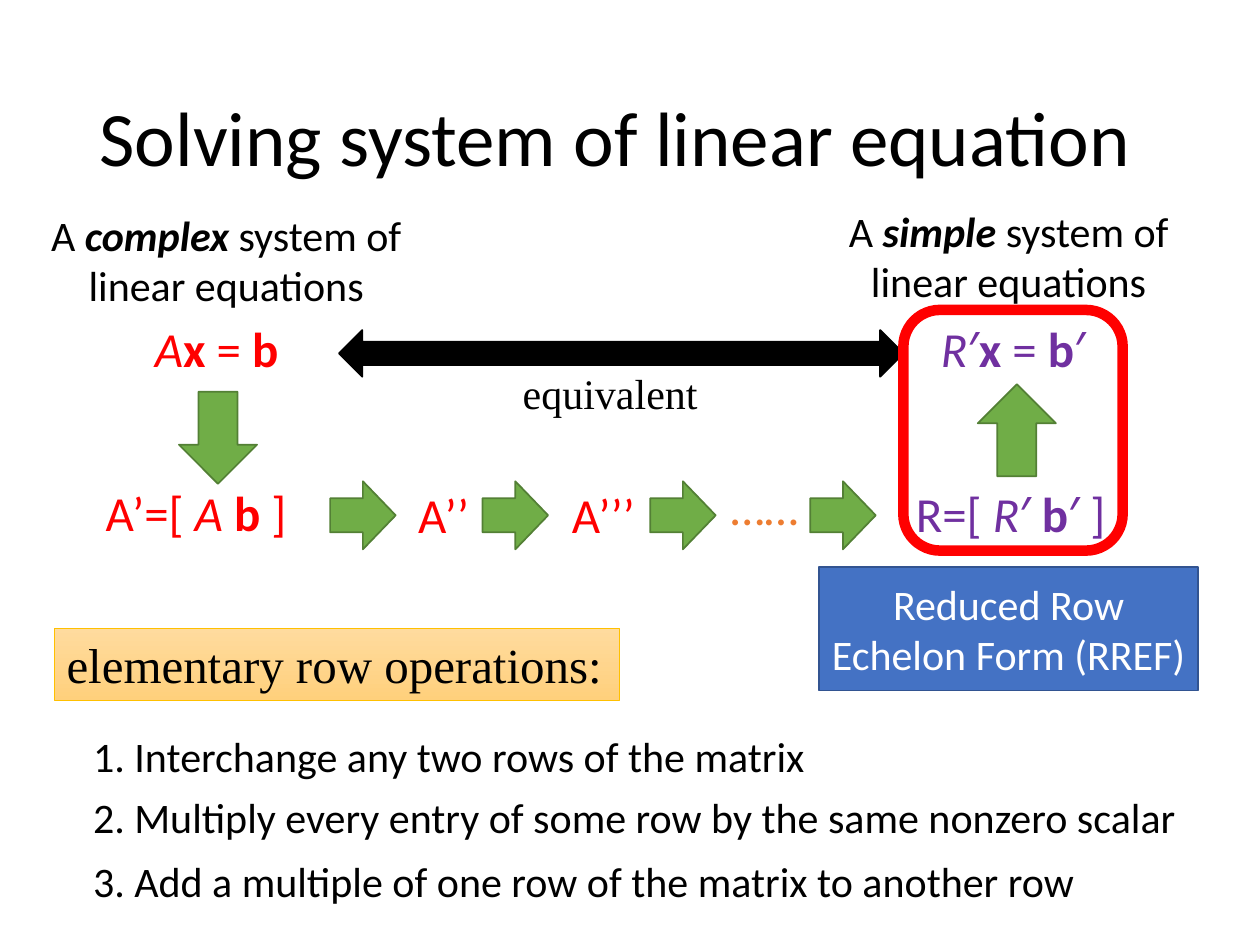
"""Build a slide on solving a system of linear equations by row operations."""
import pptx
import pptx.dml.color
import pptx.enum.shapes
import pptx.enum.text
import pptx.util

Inches = pptx.util.Inches
Pt = pptx.util.Pt
SHAPE = pptx.enum.shapes.MSO_SHAPE
ANCHOR = pptx.enum.text.MSO_ANCHOR
ALIGN = pptx.enum.text.PP_ALIGN
FIT = pptx.enum.text.MSO_AUTO_SIZE

BLACK, RED, PURPLE, ORANGE = "000000", "FF0000", "7030A0", "ED7D31"
GREEN, DARK_GREEN = "70AD47", "538035"


def rgb(value):
    """Return a colour from its hex string."""
    return pptx.dml.color.RGBColor.from_string(value)


def write(box, runs, size, color, font="Calibri", align=ALIGN.LEFT, wrap=True, fit=FIT.SHAPE_TO_FIT_TEXT):
    """Fill a box with one paragraph of (text, style) runs; style holds b and i."""
    frame = box.text_frame
    frame.word_wrap = wrap
    frame.auto_size = fit
    para = frame.paragraphs[0]
    para.alignment = align
    for text, style in runs:
        span = para.add_run()
        span.text = text
        span.font.name = font
        span.font.size = Pt(size)
        span.font.bold = "b" in style
        span.font.italic = "i" in style
        span.font.color.rgb = rgb(color)


deck = pptx.Presentation()
deck.slide_width = Inches(10)
deck.slide_height = Inches(7.5)
page = deck.slides.add_slide(deck.slide_layouts[5])
shapes = page.shapes

title = shapes.title
title.left, title.top = Inches(0.69), Inches(0.4)
title.width, title.height = Inches(8.62), Inches(1.45)
title.text_frame.vertical_anchor = ANCHOR.MIDDLE
write(title, [("Solving system of linear equation", "")], 44, BLACK, fit=FIT.NONE)
title.text_frame.paragraphs[0].line_spacing = 0.9

box = shapes.add_textbox(Inches(4.05), Inches(2.87), Inches(1.59), Inches(0.5))
write(box, [("equivalent", "")], 24, BLACK, font="Times New Roman", wrap=False)

formulas = [
    (1.13, 2.48, 1.28, RED, [("A", "i"), ("x", "b"), (" = ", ""), ("b", "b")]),
    (0.74, 3.78, 1.84, RED, [("A’=[ ", ""), ("A ", "i"), ("b ", "b"), ("]", "")]),
    (3.22, 3.8, 0.61, RED, [("A’’", "")]),
    (4.44, 3.8, 0.71, RED, [("A’’’", "")]),
    (5.7, 3.73, 0.77, ORANGE, [("……", "")]),
    (7.17, 3.79, 1.74, PURPLE, [("R=[ ", ""), ("R", "i"), ("′ ", ""), ("b", "b"), ("′ ]", "")]),
    (7.37, 2.48, 1.37, PURPLE,
     [("R", "i"), ("′", ""), ("x", "b"), (" = ", ""), ("b", "b"), ("′", "")]),
]
for left, top, width, color, runs in formulas:
    box = shapes.add_textbox(Inches(left), Inches(top), Inches(width), Inches(0.57))
    write(box, runs, 28, color, wrap=False)

for left, top, kind in [(0.19, 1.61, "complex"), (6.4, 1.58, "simple")]:
    box = shapes.add_textbox(Inches(left), Inches(top), Inches(3.21), Inches(0.91))
    runs = [("A ", ""), (kind, "bi"), (" system of linear equations", "")]
    write(box, runs, 24, BLACK, align=ALIGN.CENTER)

operations = [
    (5.75, 7.59, "1. Interchange any two rows of the matrix"),
    (6.23, 9.56, "2. Multiply every entry of some row by the same nonzero scalar"),
    (6.74, 9.34, "3. Add a multiple of one row of the matrix to another row"),
]
for top, width, text in operations:
    box = shapes.add_textbox(Inches(0.64), Inches(top), Inches(width), Inches(0.5))
    write(box, [(text, "")], 24, BLACK)

arrows = [
    (SHAPE.DOWN_ARROW, 1.42, 3.11, 0.62, 0.73, GREEN, DARK_GREEN),
    (SHAPE.UP_ARROW, 7.76, 3.05, 0.62, 0.73, GREEN, DARK_GREEN),
    (SHAPE.LEFT_RIGHT_ARROW, 2.69, 2.62, 4.48, 0.37, BLACK, BLACK),
]
for left in (2.62, 3.83, 5.16, 6.43):
    arrows.append((SHAPE.RIGHT_ARROW, left, 3.82, 0.52, 0.54, GREEN, DARK_GREEN))
for kind, left, top, width, height, fill, line in arrows:
    arrow = shapes.add_shape(kind, Inches(left), Inches(top), Inches(width), Inches(height))
    arrow.shadow.inherit = False
    arrow.fill.solid()
    arrow.fill.fore_color.rgb = rgb(fill)
    arrow.line.color.rgb = rgb(line)
    arrow.line.width = Pt(1)

rref = shapes.add_shape(SHAPE.RECTANGLE, Inches(6.5), Inches(4.5), Inches(3.01), Inches(0.98))
rref.shadow.inherit = False
rref.fill.solid()
rref.fill.fore_color.rgb = rgb("4472C4")
rref.line.color.rgb = rgb("325491")
rref.line.width = Pt(1)
rref.text_frame.vertical_anchor = ANCHOR.MIDDLE
write(rref, [("Reduced Row Echelon Form (RREF)", "")], 24, "FFFFFF", align=ALIGN.CENTER, fit=FIT.NONE)

heading = shapes.add_shape(SHAPE.RECTANGLE, Inches(0.43), Inches(4.99), Inches(4.49), Inches(0.57))
heading.shadow.inherit = False
heading.fill.gradient()
heading.fill.gradient_angle = 270
for stop, color, position in zip(heading.fill.gradient_stops, ("FFDB9E", "FFD07C"), (0, 1)):
    stop.color.rgb = rgb(color)
    stop.position = position
heading.line.color.rgb = rgb("FFC000")
heading.line.width = Pt(0.5)
heading.text_frame.vertical_anchor = ANCHOR.TOP
write(heading, [("elementary row operations:", "")], 28, BLACK, font="Times New Roman", wrap=False)

frame = shapes.add_shape(SHAPE.ROUNDED_RECTANGLE, Inches(7.17), Inches(2.46), Inches(1.74), Inches(1.91))
frame.shadow.inherit = False
frame.fill.background()
frame.line.color.rgb = rgb(RED)
frame.line.width = Pt(6)

deck.save("out.pptx")
